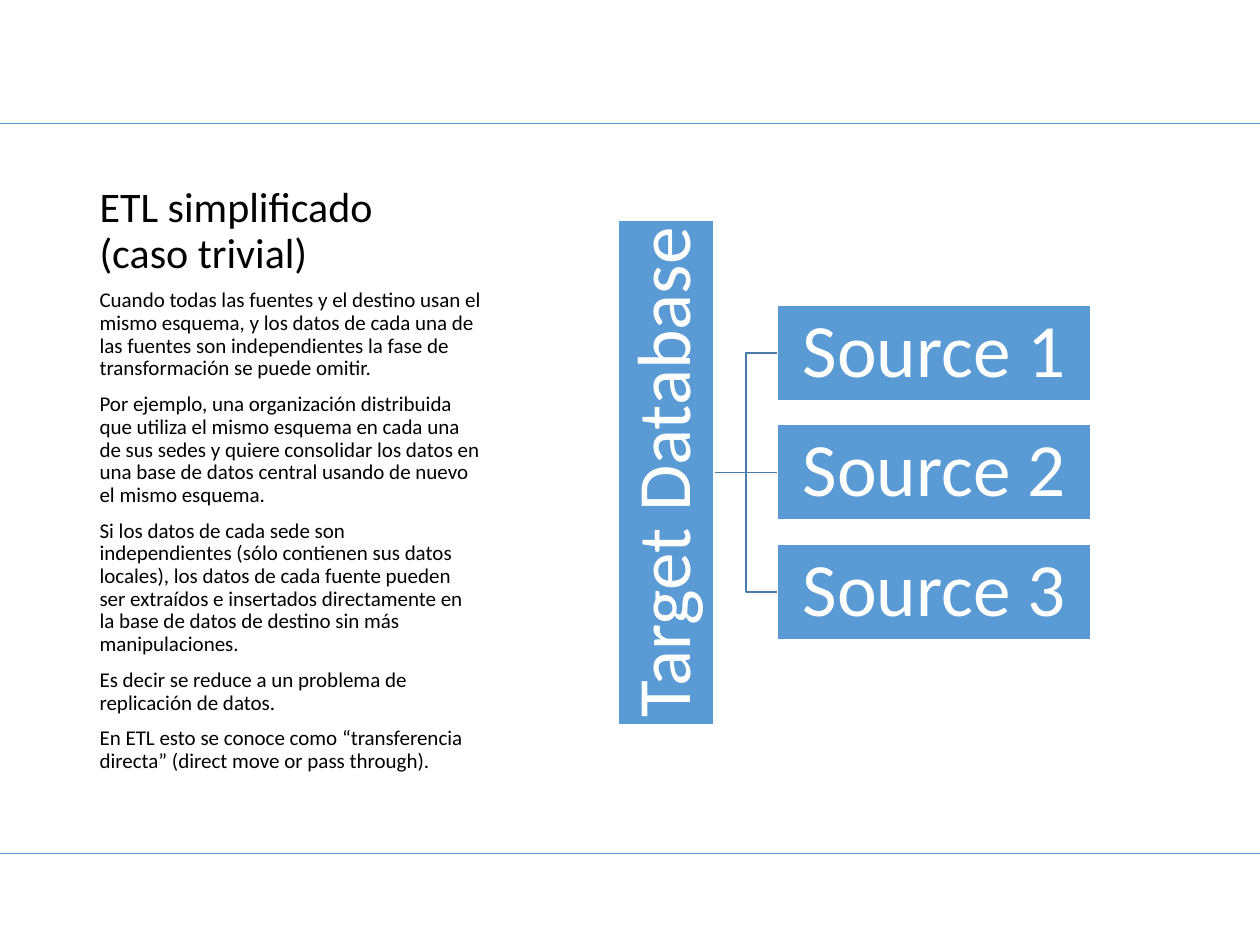
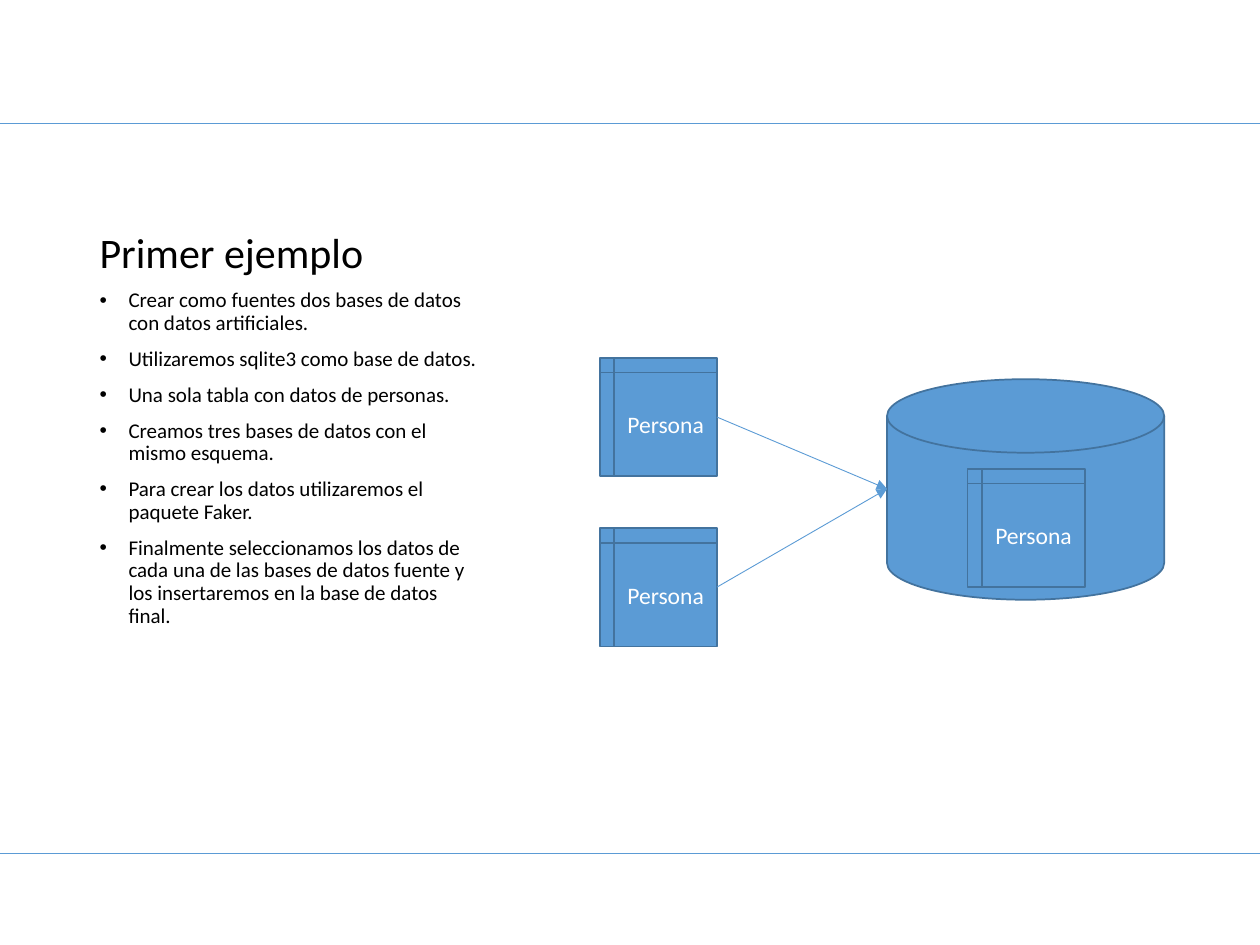
import lxml.etree
import pptx
import pptx.dml.color
import pptx.enum.shapes
import pptx.enum.text
import pptx.oxml.ns
import pptx.util

Inches = pptx.util.Inches
Pt = pptx.util.Pt
Shape = pptx.enum.shapes.MSO_SHAPE
Anchor = pptx.enum.text.MSO_ANCHOR
Align = pptx.enum.text.PP_ALIGN

BLUE = pptx.dml.color.RGBColor(0x5B, 0x9B, 0xD5)
DARK_BLUE = pptx.dml.color.RGBColor(0x43, 0x73, 0x9E)
BRANCH_BLUE = pptx.dml.color.RGBColor(0x49, 0x7C, 0xAB)
WHITE = pptx.dml.color.RGBColor(0xFF, 0xFF, 0xFF)
BLACK = pptx.dml.color.RGBColor(0x00, 0x00, 0x00)
FONT = "Calibri"
SLIDE_WIDTH = 10
SLIDE_HEIGHT = 7.5
BAND_TOPS = (6.77, 0.98)
BULLET_INDENT = 0.23

TRIVIAL_CASE = [
    "Cuando todas las fuentes y el destino usan el mismo esquema, y los datos de cada una de las fuentes son independientes la fase de transformación se puede omitir.",
    "Por ejemplo, una organización distribuida que utiliza el mismo esquema en cada una de sus sedes y quiere consolidar los datos en una base de datos central usando de nuevo el mismo esquema.",
    "Si los datos de cada sede son independientes (sólo contienen sus datos locales), los datos de cada fuente pueden ser extraídos e insertados directamente en la base de datos de destino sin más manipulaciones.",
    "Es decir se reduce a un problema de replicación de datos.",
    "En ETL esto se conoce como “transferencia directa” (direct move or pass through).",
]
FIRST_EXAMPLE = [
    "Crear como fuentes dos bases de datos con datos artificiales.",
    "Utilizaremos sqlite3 como base de datos.",
    "Una sola tabla con datos de personas.",
    "Creamos tres bases de datos con el mismo esquema.",
    "Para crear los datos utilizaremos el paquete Faker.",
    "Finalmente seleccionamos los datos de cada una de las bases de datos fuente y los insertaremos en la base de datos final.",
]


def add_child(parent, tag, **attributes):
    return lxml.etree.SubElement(parent, pptx.oxml.ns.qn(tag), **attributes)


def write_text(frame, paragraphs, size, color=BLACK, align=Align.LEFT, anchor=Anchor.TOP,
               inset=(0.1, 0.05), line_spacing=1.0, space_before=0):
    frame.word_wrap = True
    frame.auto_size = pptx.enum.text.MSO_AUTO_SIZE.NONE
    frame.vertical_anchor = anchor
    frame.margin_left = frame.margin_right = Inches(inset[0])
    frame.margin_top = frame.margin_bottom = Inches(inset[1])
    frame.text = "\n".join(paragraphs)
    for paragraph in frame.paragraphs:
        paragraph.alignment = align
        paragraph.line_spacing = line_spacing
        paragraph.space_before = Pt(space_before)
        for run in paragraph.runs:
            run.font.size = Pt(size)
            run.font.name = FONT
            run.font.color.rgb = color


class Deck:
    def __init__(self):
        self.presentation = pptx.Presentation()
        self.presentation.slide_width = Inches(SLIDE_WIDTH)
        self.presentation.slide_height = Inches(SLIDE_HEIGHT)
        self.layout = self.presentation.slide_layouts[1]
        self.slide = None

    def add_slide(self, title, paragraphs, bulleted):
        first = self.slide is None
        self.slide = self.presentation.slides.add_slide(self.layout)
        if first:
            self.add_bands()
        heading, body = self.slide.placeholders
        self.place(heading, 0.69, 0.5, 3.23, 1.75)
        write_text(heading.text_frame, [title], 24, anchor=Anchor.BOTTOM, line_spacing=0.9)
        self.place(body, 0.69, 2.25, 3.23, 4.17)
        write_text(body.text_frame, paragraphs, 12, line_spacing=0.9, space_before=7.5)
        indent = Inches(BULLET_INDENT) if bulleted else 0
        for paragraph in body.text_frame.paragraphs:
            properties = paragraph._p.get_or_add_pPr()
            properties.set("marL", str(indent))
            properties.set("indent", str(-indent))
            if bulleted:
                add_child(properties, "a:buFont", typeface="Arial")
                add_child(properties, "a:buChar", char="•")
            else:
                add_child(properties, "a:buNone")

    def add_bands(self):
        for top in BAND_TOPS:
            band = self.add_line((0, top), (SLIDE_WIDTH, top))
            self.layout.shapes.element.append(band.element)

    def place(self, shape, left, top, width, height):
        shape.left, shape.top = Inches(left), Inches(top)
        shape.width, shape.height = Inches(width), Inches(height)

    def add_line(self, start, end, color=BLUE, width=0.5, arrow=False):
        line = self.slide.shapes.add_connector(
            pptx.enum.shapes.MSO_CONNECTOR.STRAIGHT,
            *(Inches(length) for length in (*start, *end)))
        line.line.color.rgb = color
        line.line.width = Pt(width)
        if arrow:
            add_child(line.line._get_or_add_ln(), "a:tailEnd", type="triangle")
        add_child(line.element.spPr, "a:effectLst")
        return line

    def add_branch(self, start, end):
        if start[1] == end[1]:
            self.add_line(start, end, BRANCH_BLUE, 1)
            return
        middle = (start[0] + end[0]) / 2
        corners = [(middle, start[1]), (middle, end[1]), end]
        builder = self.slide.shapes.build_freeform(Inches(start[0]), Inches(start[1]))
        builder.add_line_segments([(Inches(x), Inches(y)) for x, y in corners], close=False)
        branch = builder.convert_to_shape()
        branch.shadow.inherit = False
        branch.fill.background()
        branch.line.color.rgb = BRANCH_BLUE
        branch.line.width = Pt(1)

    def add_box(self, kind, left, top, width, height, outline=DARK_BLUE, rotation=0,
                text=None, **text_format):
        box = self.slide.shapes.add_shape(
            kind, Inches(left), Inches(top), Inches(width), Inches(height))
        box.shadow.inherit = False
        box.rotation = rotation
        box.fill.solid()
        box.fill.fore_color.rgb = BLUE
        box.line.color.rgb = outline
        box.line.width = Pt(1)
        if text:
            write_text(box.text_frame, [text], color=WHITE, align=Align.CENTER,
                       anchor=Anchor.MIDDLE, **text_format)

    def add_hierarchy_box(self, text, left, top, width, rotation=0):
        self.add_box(Shape.RECTANGLE, left, top, width, 0.76, outline=WHITE,
                     rotation=rotation, text=text, size=43, inset=(0.03, 0.03),
                     line_spacing=0.9)

    def add_person_table(self, left, top):
        self.add_box(Shape.FLOWCHART_INTERNAL_STORAGE, left, top, 0.93, 0.94,
                     text="Persona", size=13.5, inset=(0.08, 0.04))


def build_trivial_case(deck):
    deck.add_slide("ETL simplificado\v(caso trivial)", TRIVIAL_CASE, bulleted=False)
    source_left, first_top, pitch, half_height = 6.17, 2.42, 0.95, 0.38
    root = (5.67, 3.75)
    source_tops = [round(first_top + index * pitch, 2) for index in range(3)]
    for top in reversed(source_tops):
        deck.add_branch(root, (source_left, round(top + half_height, 2)))
    deck.add_hierarchy_box("Target Database", 3.29, 3.37, 4, rotation=270)
    for number, top in enumerate(source_tops, 1):
        deck.add_hierarchy_box(f"Source {number}", source_left, top, 2.49)


def build_first_example(deck):
    deck.add_slide("Primer ejemplo", FIRST_EXAMPLE, bulleted=True)
    deck.add_box(Shape.FLOWCHART_MAGNETIC_DISK, 7.04, 3.01, 2.2, 1.75)
    for top in (2.84, 4.19):
        deck.add_person_table(4.76, top)
        deck.add_line((5.69, top + 0.47), (7.04, 3.88), arrow=True)
    deck.add_person_table(7.68, 3.72)


def main():
    deck = Deck()
    build_trivial_case(deck)
    build_first_example(deck)
    deck.presentation.save("out.pptx")


if __name__ == "__main__":
    main()
